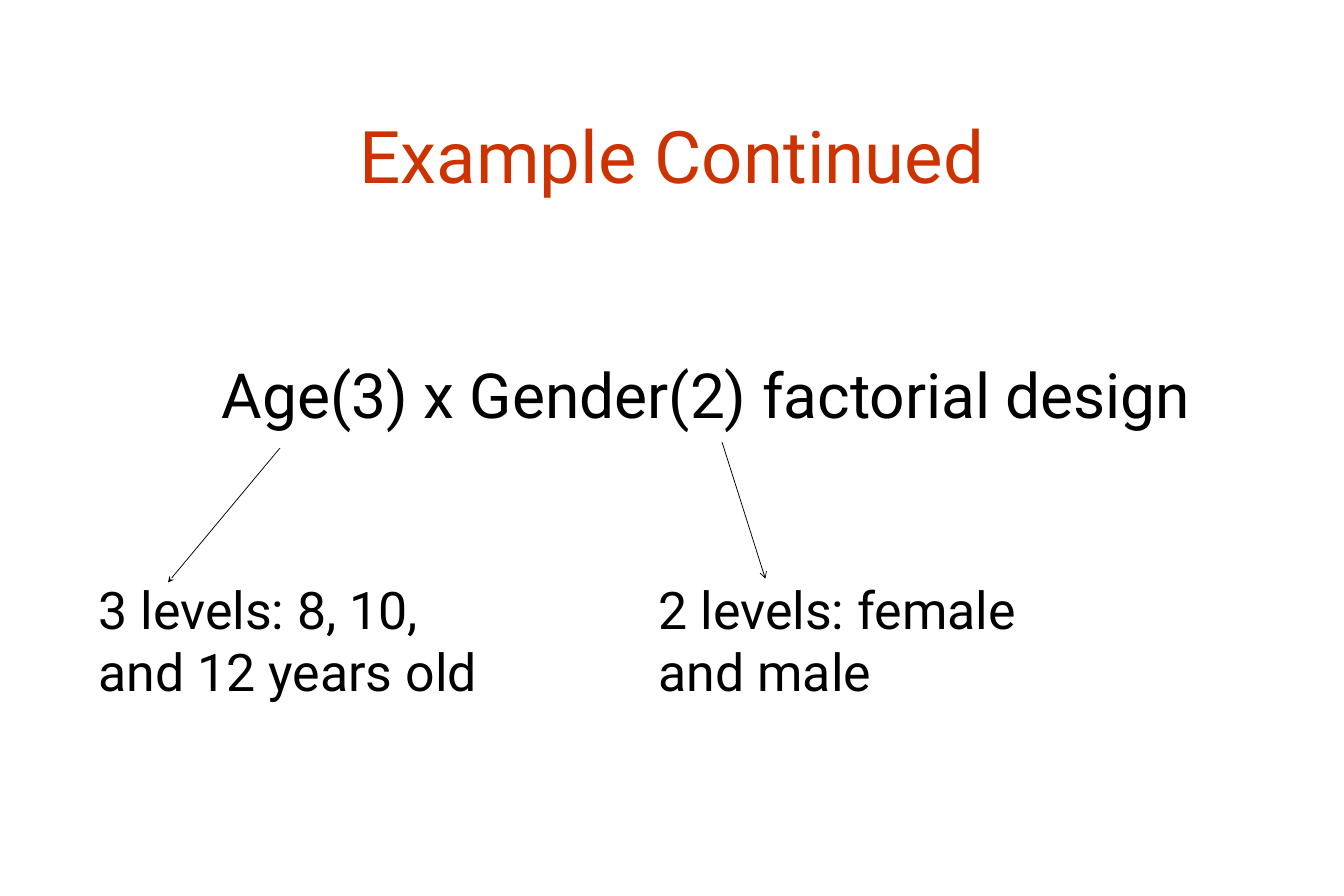
from dataclasses import dataclass

from lxml import etree
from pptx import Presentation
from pptx.dml.color import RGBColor
from pptx.enum import shapes, text
from pptx.oxml import ns
from pptx.util import Inches, Pt


@dataclass(frozen=True)
class Theme:
    font: str = "Roboto"
    accent: RGBColor = RGBColor(0xCC, 0x33, 0x00)
    ink: RGBColor = RGBColor(0, 0, 0)
    title_size: int = 70
    design_size: int = 60
    level_size: int = 50
    line_width: float = 0.75


THEME = Theme()


def place(shape, box):
    shape.left, shape.top, shape.width, shape.height = map(Inches, box)


def write(shape, words, *, size, color=THEME.ink, align=text.PP_ALIGN.LEFT,
          anchor=text.MSO_ANCHOR.TOP, inset=(0.16, 0.08), bullet=True):
    frame = shape.text_frame
    frame.word_wrap = True
    frame.auto_size = text.MSO_AUTO_SIZE.NONE
    frame.vertical_anchor = anchor
    frame.margin_left = frame.margin_right = Inches(inset[0])
    frame.margin_top = frame.margin_bottom = Inches(inset[1])
    para = frame.paragraphs[0]
    para.alignment = align
    para.line_spacing = 1.0
    para.space_before = Pt(0)
    if not bullet:
        properties = para._p.get_or_add_pPr()
        properties.set("marL", "0")
        properties.set("indent", "0")
        etree.SubElement(properties, ns.qn("a:buNone"))
    span = para.add_run()
    span.text = words
    span.font.name = THEME.font
    span.font.size = Pt(size)
    span.font.color.rgb = color


def add_arrow(page, start, end, head):
    arrow = page.shapes.add_connector(
        shapes.MSO_CONNECTOR.STRAIGHT, *map(Inches, (*start, *end)))
    arrow.line.color.rgb = THEME.ink
    arrow.line.width = Pt(THEME.line_width)
    etree.SubElement(arrow.line._get_or_add_ln(), ns.qn("a:tailEnd"), type=head)
    etree.SubElement(arrow._element.spPr, ns.qn("a:effectLst"))


def add_title(page, box):
    title = page.shapes.title
    place(title, box)
    write(title, "Example Continued", size=THEME.title_size, color=THEME.accent,
          align=text.PP_ALIGN.CENTER, anchor=text.MSO_ANCHOR.MIDDLE)


def add_design(page, box):
    design = page.placeholders[1]
    place(design, box)
    write(design, "Age(3) x Gender(2) factorial design", size=THEME.design_size,
          align=text.PP_ALIGN.CENTER, bullet=False)


def add_factor(page, box, words, start, end, head):
    """Add a factor's levels and its arrow, with points measured from the box corner."""
    left, top = box[:2]
    add_arrow(page, (left + start[0], top + start[1]),
              (left + end[0], top + end[1]), head)
    levels = page.shapes.add_textbox(*map(Inches, box))
    write(levels, words, size=THEME.level_size, inset=(0.25, 0.13))


def main():
    deck = Presentation()
    deck.slide_width, deck.slide_height = Inches(18), Inches(12)
    page = deck.slides.add_slide(deck.slide_layouts[1])
    add_title(page, (1.35, 1.07, 15.3, 2))
    add_design(page, (1.35, 4.69, 16.22, 6.71))
    add_factor(page, (1.07, 7.6, 6, 1.92), "3 levels: 8, 10, and 12 years old",
               start=(2.68, -1.6), end=(1.18, 0.2), head="stealth")
    add_factor(page, (8.57, 7.6, 5.57, 1.92), "2 levels: female and male",
               start=(1.1, -1.68), end=(1.68, 0.15), head="arrow")
    deck.save("out.pptx")


if __name__ == "__main__":
    main()
